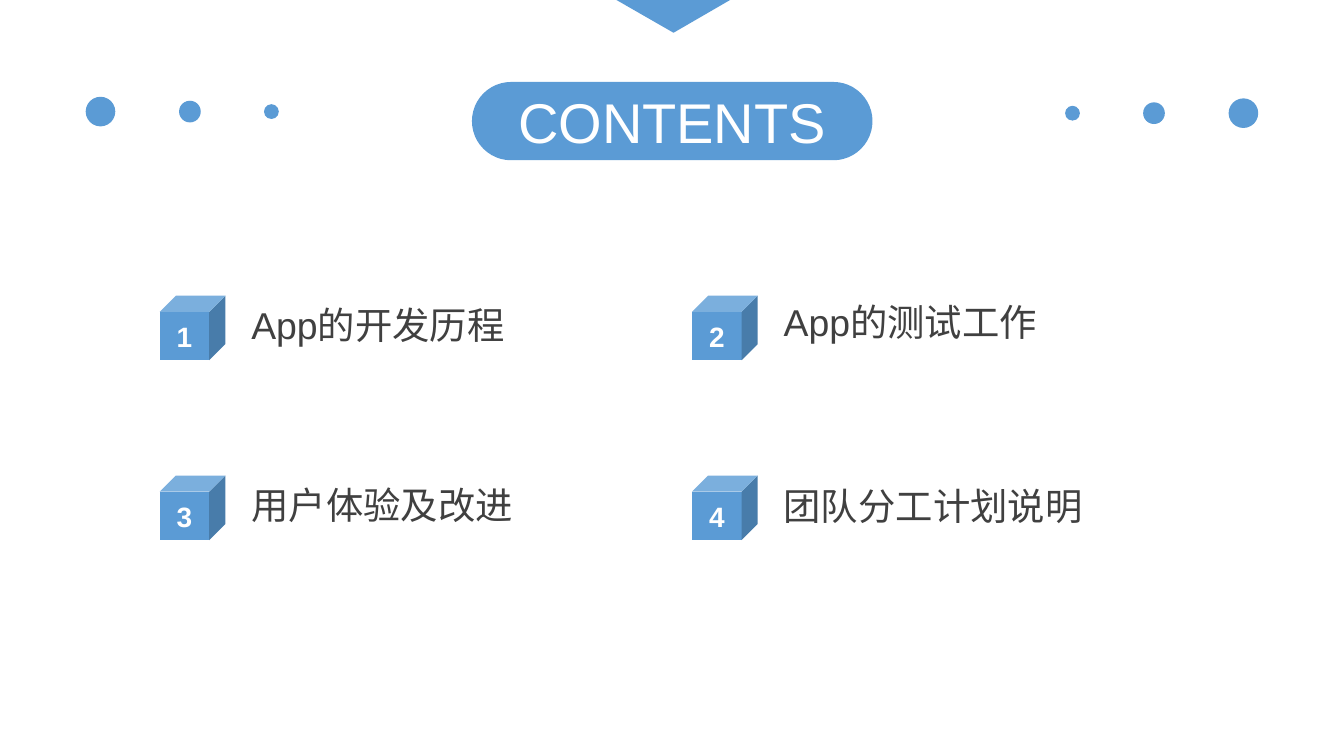
from dataclasses import dataclass

from pptx import Presentation
from pptx import util as u
from pptx.dml.color import RGBColor
from pptx.enum import shapes, text

COLORS = {"blue": "5B9BD5", "white": "FFFFFF", "dark": "404040"}
FONT = "Arial"
SLIDE_W, SLIDE_H = 25.4, 14.29
COLUMNS, ROWS = (3.02, 13.08), (5.59, 8.99)
LABEL_WIDTHS = (7.37, 8.1)
LABEL_GAP = 1.73


@dataclass
class Dot:
    center_x: float
    diameter: float


@dataclass
class Topic:
    title: str
    dy: float  # label top relative to the cube top


DOTS = [Dot(1.9, 0.56), Dot(3.59, 0.41), Dot(5.13, 0.28)]
DOT_Y_LEFT, DOT_Y_RIGHT = 2.11, 2.14
TOPICS = [
    Topic("App的开发历程", -0.08),
    Topic("App的测试工作", -0.13),
    Topic("用户体验及改进", -0.07),
    Topic("团队分工计划说明", -0.05),
]


def paint(sp) -> None:
    sp.shadow.inherit = False
    sp.fill.solid()
    sp.fill.fore_color.rgb = RGBColor.from_string(COLORS["blue"])
    sp.line.fill.background()


def add_filled(s, kind, x: float, y: float, w: float, h: float):
    sp = s.shapes.add_shape(kind, u.Cm(x), u.Cm(y), u.Cm(w), u.Cm(h))
    paint(sp)
    return sp


def write(sp, words: str, size: int, color: str, bold: bool = False,
          align=text.PP_ALIGN.CENTER):
    tf = sp.text_frame
    tf.word_wrap = True
    tf.vertical_anchor = text.MSO_ANCHOR.MIDDLE
    p = tf.paragraphs[0]
    p.alignment = align
    r = p.add_run()
    r.text = words
    r.font.name = FONT
    r.font.size = u.Pt(size)
    r.font.bold = bold
    r.font.color.rgb = RGBColor.from_string(COLORS[color])
    return tf


def add_dot(s, center_x: float, center_y: float, d: float) -> None:
    add_filled(s, shapes.MSO_SHAPE.OVAL, center_x - d / 2, center_y - d / 2, d, d)


def add_topic(s, index: int, topic: Topic) -> None:
    row, col = divmod(index, len(COLUMNS))
    x, y = COLUMNS[col], ROWS[row]
    cube = add_filled(s, shapes.MSO_SHAPE.CUBE, x, y, 1.24, 1.22)
    write(cube, str(index + 1), 15, "white", bold=True)

    label = s.shapes.add_textbox(u.Cm(x + LABEL_GAP), u.Cm(y + topic.dy),
                                 u.Cm(LABEL_WIDTHS[col]), u.Cm(1.35))
    tf = write(label, topic.title, 20, "dark", align=text.PP_ALIGN.LEFT)
    tf.margin_left = tf.margin_right = tf.margin_top = tf.margin_bottom = 0
    tf.paragraphs[0].line_spacing = 0.9


def main() -> None:
    prs = Presentation()
    prs.slide_width, prs.slide_height = u.Cm(SLIDE_W), u.Cm(SLIDE_H)
    s = prs.slides.add_slide(prs.slide_layouts[6])

    # Mirrored dots on both sides
    for dot in DOTS:
        add_dot(s, dot.center_x, DOT_Y_LEFT, dot.diameter)
        add_dot(s, SLIDE_W - dot.center_x, DOT_Y_RIGHT, dot.diameter)

    # Numbered topics
    for index, topic in enumerate(TOPICS):
        add_topic(s, index, topic)

    # Heading pill
    pill = add_filled(s, shapes.MSO_SHAPE.ROUNDED_RECTANGLE, 8.92, 1.55, 7.57, 1.48)
    pill.adjustments[0] = 0.5
    tf = write(pill, "CONTENTS", 30, "white")
    tf.margin_top = tf.margin_bottom = 0

    # Pointer at the top edge
    fb = s.shapes.build_freeform(u.Cm(11.65), 0)
    fb.add_line_segments([(u.Cm(13.8), 0), (u.Cm(12.73), u.Cm(0.62))], close=True)
    paint(fb.convert_to_shape())

    prs.save("out.pptx")


if __name__ == "__main__":
    main()
